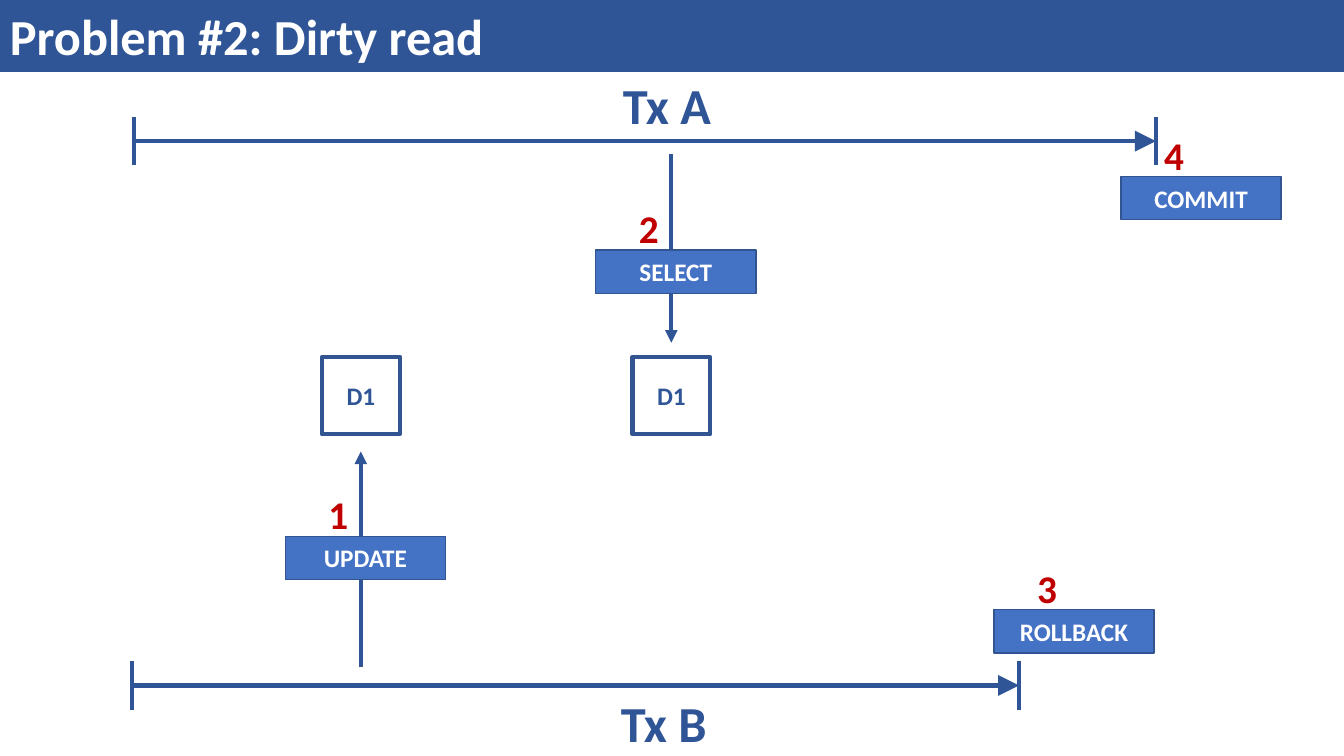
from typing import NamedTuple

from lxml.etree import SubElement
from pptx import Presentation
from pptx.dml.color import RGBColor
from pptx.enum.shapes import MSO_CONNECTOR, MSO_SHAPE
from pptx.enum.text import MSO_ANCHOR, MSO_AUTO_SIZE, PP_ALIGN
from pptx.oxml.ns import qn
from pptx.util import Inches, Pt

SLIDE_WIDTH, SLIDE_HEIGHT = Inches(13.33), Inches(7.5)
COLUMNS, ROWS = 40, 30
NAVY, BLUE, BORDER, RED, WHITE = "2F5597", "4472C4", "325491", "C00000", "FFFFFF"
TICK_REACH = 0.96
STEP_WIDTH, STEP_HEIGHT = 4.77, 1.72
NUMBER_RIGHT, NUMBER_UP = 0.99, 2
DATA_WIDTH, DATA_HEIGHT, DATA_TOP = 2.31, 3.08, 14.16

CENTERED = {"vertical_anchor": MSO_ANCHOR.MIDDLE, "word_wrap": True}
TITLE = {"vertical_anchor": MSO_ANCHOR.TOP, "word_wrap": True}
LABEL = {"word_wrap": False, "auto_size": MSO_AUTO_SIZE.SHAPE_TO_FIT_TEXT}


class Area(NamedTuple):
    left: float
    top: float
    width: float
    height: float


class Timeline(NamedTuple):
    name: str
    start: float
    end: float
    row: float
    label: Area


class Access(NamedTuple):
    column: float
    start_row: float
    end_row: float


class Step(NamedTuple):
    number: int
    command: str
    left: float
    top: float


TIMELINES = [
    Timeline("Tx A", 4, 34.4, 5.6, Area(18.24, 2.76, 3.51, 2.84)),
    Timeline("Tx B", 3.92, 30.33, 27.2, Area(18.18, 27.28, 3.45, 2.84)),
]
ACCESSES = [Access(10.74, 26.48, 17.92), Access(19.98, 6.12, 13.6)]
STEPS = [
    Step(1, "UPDATE", 8.49, 21.28),
    Step(2, "SELECT", 17.73, 9.92),
    Step(3, "ROLLBACK", 29.58, 24.2),
    Step(4, "COMMIT", 33.36, 7),
]


def color(value: str) -> RGBColor:
    """Turn a hex string into a colour."""
    return RGBColor.from_string(value)


def horizontal(columns: float) -> int:
    """Turn columns into a length."""
    return round(SLIDE_WIDTH * columns / COLUMNS)


def vertical(rows: float) -> int:
    """Turn rows into a length."""
    return round(SLIDE_HEIGHT * rows / ROWS)


def place(area: Area) -> tuple[int, int, int, int]:
    """Turn a grid area into slide lengths."""
    return (horizontal(area.left), vertical(area.top),
            horizontal(area.width), vertical(area.height))


def write(shape, text: str, size: int, text_color: str, frame_format: dict,
          alignment: PP_ALIGN = PP_ALIGN.LEFT) -> None:
    """Put one bold line of text into a shape."""
    for name, value in frame_format.items():
        setattr(shape.text_frame, name, value)
    paragraph = shape.text_frame.paragraphs[0]
    paragraph.alignment = alignment
    run = paragraph.add_run()
    run.text = text
    for name, value in {"name": "Calibri", "size": Pt(size), "bold": True}.items():
        setattr(run.font, name, value)
    run.font.color.rgb = color(text_color)


def add_box(slide, area: Area, fill: str | None, border: str, border_width: float):
    """Add a rectangle, hollow when there is no fill."""
    shape = slide.shapes.add_shape(MSO_SHAPE.RECTANGLE, *place(area))
    shape.shadow.inherit = False
    if fill:
        shape.fill.solid()
        shape.fill.fore_color.rgb = color(fill)
    else:
        shape.fill.background()
    shape.line.color.rgb = color(border)
    shape.line.width = Pt(border_width)
    return shape


def add_label(slide, area: Area, text: str, size: int, text_color: str) -> None:
    """Add a text box that does not wrap."""
    write(slide.shapes.add_textbox(*place(area)), text, size, text_color, LABEL)


def add_line(slide, start: tuple[float, float], end: tuple[float, float],
             head_size: str | None = None) -> None:
    """Add a line, with an arrowhead when a head size is given."""
    connector = slide.shapes.add_connector(
        MSO_CONNECTOR.STRAIGHT, horizontal(start[0]), vertical(start[1]),
        horizontal(end[0]), vertical(end[1]))
    connector.line.color.rgb = color(NAVY)
    connector.line.width = Pt(3)
    if head_size:
        SubElement(connector.line._get_or_add_ln(), qn("a:tailEnd"),
                   {"type": "triangle", "w": head_size, "len": head_size})
    SubElement(connector._element.spPr, qn("a:effectLst"))


def add_timeline(slide, timeline: Timeline) -> None:
    """Add a transaction arrow between two ticks, with its name."""
    add_line(slide, (timeline.start, timeline.row), (timeline.end, timeline.row), "lg")
    for column in (timeline.start, timeline.end):
        add_line(slide, (column, timeline.row - TICK_REACH),
                 (column, timeline.row + TICK_REACH))
    add_label(slide, timeline.label, timeline.name, 36, NAVY)


def add_access(slide, access: Access) -> None:
    """Add a data item and the arrow that reaches it."""
    area = Area(access.column - DATA_WIDTH / 2, DATA_TOP, DATA_WIDTH, DATA_HEIGHT)
    write(add_box(slide, area, None, BORDER, 3), "D1", 18, NAVY, CENTERED, PP_ALIGN.CENTER)
    add_line(slide, (access.column, access.start_row),
             (access.column, access.end_row), "med")


def add_step(slide, step: Step) -> None:
    """Add a command box with its number above it."""
    box = add_box(slide, Area(step.left, step.top, STEP_WIDTH, STEP_HEIGHT), BLUE, BORDER, 1)
    write(box, step.command, 18, WHITE, CENTERED, PP_ALIGN.CENTER)
    number_area = Area(step.left + NUMBER_RIGHT, step.top - NUMBER_UP, 1.23, 2.28)
    add_label(slide, number_area, str(step.number), 28, RED)


def main() -> None:
    """Build and save the slide."""
    presentation = Presentation()
    presentation.slide_width, presentation.slide_height = SLIDE_WIDTH, SLIDE_HEIGHT
    slide = presentation.slides.add_slide(presentation.slide_layouts[6])
    banner = add_box(slide, Area(0, 0, COLUMNS, 2.84), NAVY, NAVY, 0.75)
    write(banner, "Problem #2: Dirty read", 36, WHITE, TITLE)
    for timeline in TIMELINES:
        add_timeline(slide, timeline)
    for access in ACCESSES:
        add_access(slide, access)
    for step in STEPS:
        add_step(slide, step)
    presentation.save("out.pptx")


main()
